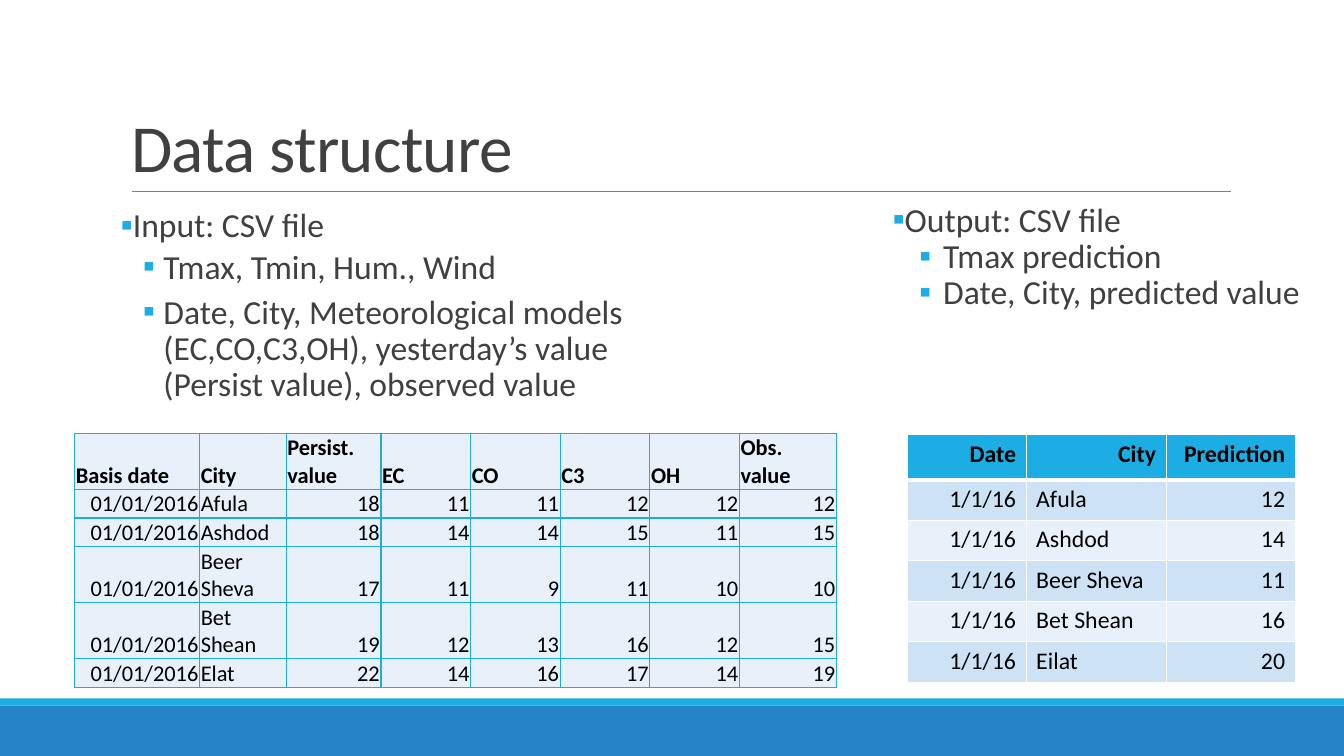
"""Build the "Data structure" slide with its input and output tables."""
from dataclasses import dataclass

from lxml.etree import SubElement
from pptx import Presentation
from pptx.dml.color import RGBColor as RGB
from pptx.enum.shapes import MSO_CONNECTOR as CONN, MSO_SHAPE as SHAPE
from pptx.enum.text import MSO_ANCHOR as ANCHOR, MSO_AUTO_SIZE as AUTO, PP_ALIGN as ALIGN
from pptx.oxml.ns import qn
from pptx.util import Cm, Pt


@dataclass(frozen=True)
class Theme:
    font: str = "Calibri"
    text: str = "404040"
    black: str = "000000"
    white: str = "FFFFFF"
    rule: str = "808080"
    accent: str = "1CADE4"
    footer: str = "2683C6"
    band: str = "CDE3F5"
    pale: str = "E8F1FA"
    title_size: int = 48
    body_size: int = 24
    input_size: int = 16
    output_size: int = 17


class Deck:
    def __init__(self, theme):
        self.theme = theme
        self.prs = Presentation()
        self.prs.slide_width, self.prs.slide_height = Cm(33.87), Cm(19.05)
        self.s = self.prs.slides.add_slide(self.prs.slide_layouts[5])

    def style(self, p, size, color, bold=False):
        for r in p.runs:
            r.font.name = self.theme.font
            r.font.size = Pt(size)
            r.font.bold = bold
            r.font.color.rgb = RGB.from_string(color)

    def bar(self, top, height, color):
        sp = self.s.shapes.add_shape(SHAPE.RECTANGLE, 0, Cm(top), self.prs.slide_width, Cm(height))
        sp.shadow.inherit = False
        sp.fill.solid()
        sp.fill.fore_color.rgb = RGB.from_string(color)
        sp.line.fill.background()

    def rule(self, left, right, y):
        line = self.s.shapes.add_connector(CONN.STRAIGHT, Cm(left), Cm(y), Cm(right), Cm(y))
        line.line.color.rgb = RGB.from_string(self.theme.rule)
        line.line.width = Pt(0.5)
        SubElement(line._element.spPr, qn("a:effectLst"))

    def title(self, text, left, top, width, height):
        sp = self.s.shapes.title
        sp.left, sp.top, sp.width, sp.height = Cm(left), Cm(top), Cm(width), Cm(height)
        tf = sp.text_frame
        tf.text = text
        tf.auto_size = AUTO.NONE
        tf.vertical_anchor = ANCHOR.BOTTOM
        p = tf.paragraphs[0]
        p.alignment = ALIGN.LEFT
        p.line_spacing = 0.85
        self.style(p, self.theme.title_size, self.theme.text)
        p.runs[0].font._element.set("spc", "-50")

    def bullets(self, lines, box, indents, spacing, inset=0.25, auto=AUTO.NONE):
        tf = self.s.shapes.add_textbox(*map(Cm, box)).text_frame
        tf.word_wrap = True
        tf.auto_size = auto
        tf.margin_left = tf.margin_right = Cm(inset)
        tf.text = "\n".join(lines)
        for i, p in enumerate(tf.paragraphs):
            level = min(i, 1)
            before, after = spacing[level]
            margin, hang = indents[level]
            p.level = level
            p.alignment = ALIGN.LEFT
            p.line_spacing = 0.9
            p.space_before, p.space_after = Pt(before), Pt(after)
            pPr = p._p.get_or_add_pPr()
            pPr.set("marL", str(Cm(margin)))
            pPr.set("indent", str(-Cm(hang)))
            color = SubElement(pPr, qn("a:buClr"))
            SubElement(color, qn("a:srgbClr"), val=self.theme.accent)
            SubElement(pPr, qn("a:buFont"), typeface=self.theme.font)
            SubElement(pPr, qn("a:buChar"), char="▪")
            self.style(p, self.theme.body_size, self.theme.text)

    def borders(self, cell, color, bottom):
        tcPr = cell._tc.get_or_add_tcPr()
        for side, width in zip("LRTB", (1, 1, 1, bottom)):
            ln = SubElement(tcPr, qn(f"a:ln{side}"), w=str(Pt(width)))
            fill = SubElement(ln, qn("a:solidFill"))
            SubElement(fill, qn("a:srgbClr"), val=color)

    def table(self, rows, left, top, widths, heights, size, fills, line,
              head_align, aligns, head_line=1, anchor=ANCHOR.TOP, inset=None):
        head_height, row_height = heights
        total = head_height + row_height * (len(rows) - 1)
        table = self.s.shapes.add_table(len(rows), len(widths), Cm(left), Cm(top),
                                        Cm(sum(widths)), Cm(total)).table
        table.first_row = table.horz_banding = False
        for column, width in zip(table.columns, widths):
            column.width = Cm(width)
        for i, values in enumerate(rows):
            head = i == 0
            table.rows[i].height = Cm(head_height if head else row_height)
            fill = fills[0] if head else fills[1 + (i - 1) % 2]
            for j, value in enumerate(values):
                cell = table.cell(i, j)
                self.borders(cell, line, head_line if head else 1)
                cell.fill.solid()
                cell.fill.fore_color.rgb = RGB.from_string(fill)
                cell.vertical_anchor = anchor
                if inset is not None:
                    cell.margin_left = cell.margin_right = cell.margin_top = Cm(inset)
                    cell.margin_bottom = 0
                p = cell.text_frame.paragraphs[0]
                p.text = str(value)
                p.alignment = head_align if head else aligns[j]
                self.style(p, size, self.theme.black, head)


INPUT_ROWS = [
    ("Basis date", "City", "Persist. value", "EC", "CO", "C3", "OH", "Obs. value"),
    ("01/01/2016", "Afula", 18, 11, 11, 12, 12, 12),
    ("01/01/2016", "Ashdod", 18, 14, 14, 15, 11, 15),
    ("01/01/2016", "Beer Sheva", 17, 11, 9, 11, 10, 10),
    ("01/01/2016", "Bet Shean", 19, 12, 13, 16, 12, 15),
    ("01/01/2016", "Elat", 22, 14, 16, 17, 14, 19),
]
OUTPUT_ROWS = [
    ("Date", "City", "Prediction"),
    ("1/1/16", "Afula", 12),
    ("1/1/16", "Ashdod", 14),
    ("1/1/16", "Beer Sheva", 11),
    ("1/1/16", "Bet Shean", 16),
    ("1/1/16", "Eilat", 20),
]
INPUT_LINES = [
    "Input: CSV file",
    "Tmax, Tmin, Hum., Wind",
    "Date, City, Meteorological models (EC,CO,C3,OH), yesterday’s value "
    "(Persist value), observed value",
]
OUTPUT_LINES = ["Output: CSV file", "Tmax prediction", "Date, City, predicted value"]


def main():
    t = Theme()
    deck = Deck(t)
    deck.bar(17.78, 1.27, t.footer)
    deck.bar(17.6, 0.18, t.accent)
    deck.rule(3.33, 31.01, 4.83)
    deck.title("Data structure", 3.05, 0.79, 27.94, 4.04)
    deck.bullets(INPUT_LINES, (3.05, 5.13, 13.26, 11.18), ((0.25, 0.25), (1.07, 0.51)),
                 ((12, 2), (2, 4)), inset=0)
    deck.table(OUTPUT_ROWS, 22.86, 10.95, (3, 3.53, 3.25), (1.14, 1.02), t.output_size,
               (t.accent, t.band, t.pale), t.white, ALIGN.RIGHT,
               (ALIGN.RIGHT, ALIGN.LEFT, ALIGN.RIGHT), head_line=3)
    deck.table(INPUT_ROWS, 1.88, 10.92, (3.15, 2.18, 2.39, *[2.26] * 4, 2.44), (1.27, 0.66),
               t.input_size, (t.pale,) * 3, t.accent, ALIGN.LEFT,
               (ALIGN.RIGHT, ALIGN.LEFT, *[ALIGN.RIGHT] * 6), anchor=ANCHOR.BOTTOM, inset=0.03)
    deck.bullets(OUTPUT_LINES, (22.25, 5, 12.34, 3.78), ((0.3, 0.3), (1.27, 0.6)),
                 ((0, 0), (0, 0)), auto=AUTO.SHAPE_TO_FIT_TEXT)
    deck.prs.save("out.pptx")


if __name__ == "__main__":
    main()
